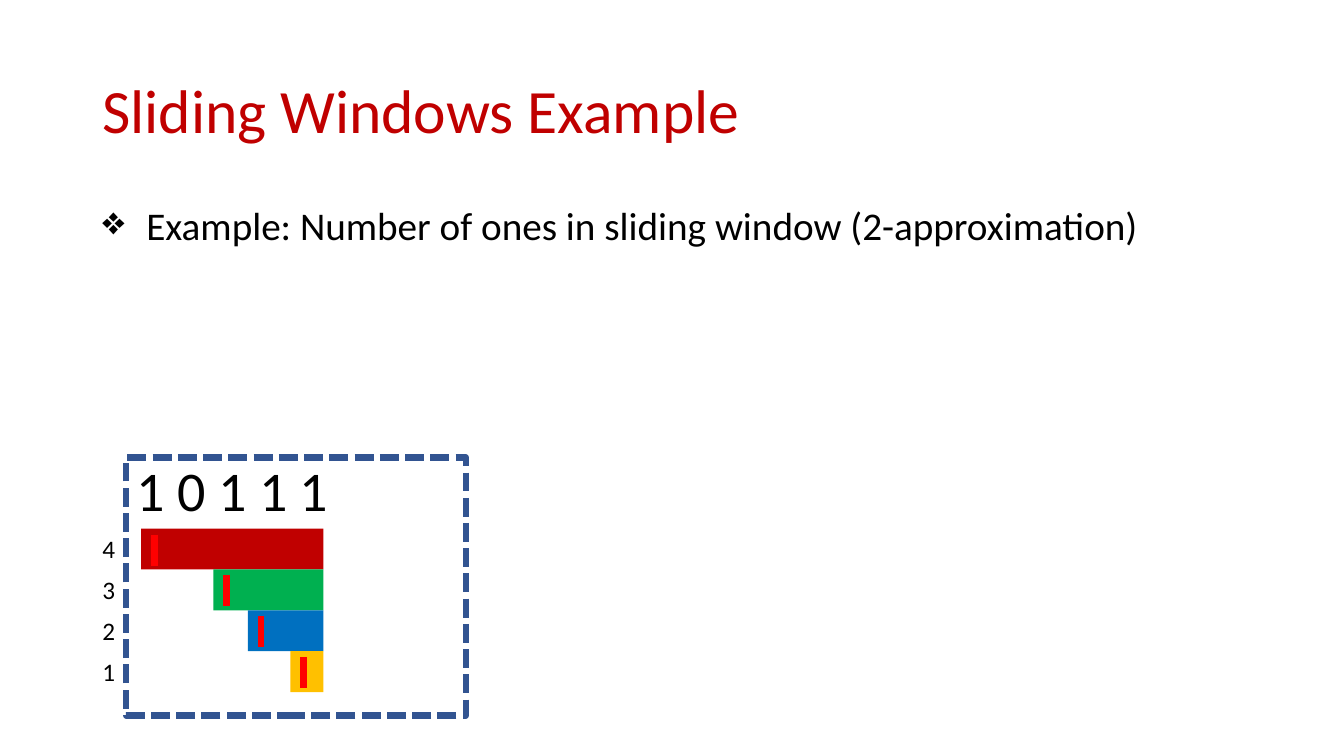
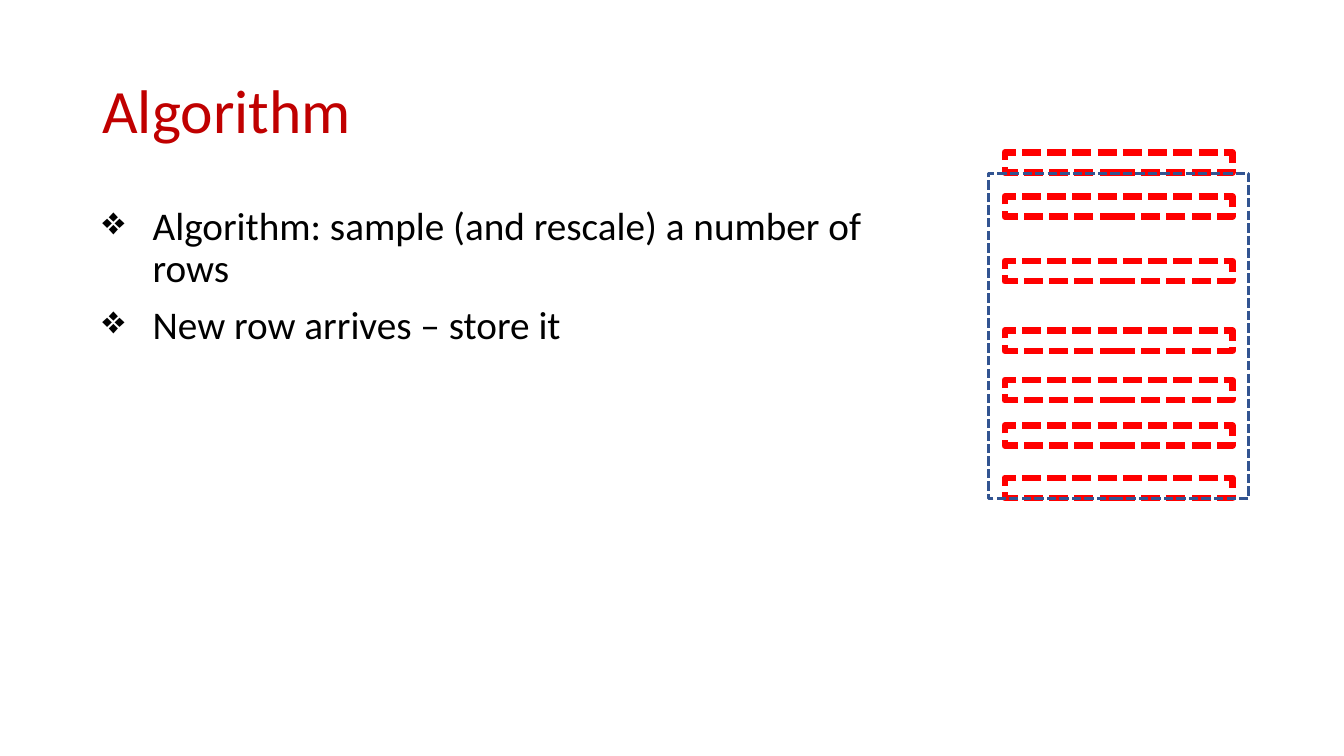
from lxml import etree
from pptx import Presentation
from pptx.dml.color import RGBColor
from pptx.enum.dml import MSO_LINE
from pptx.enum.shapes import MSO_CONNECTOR, MSO_SHAPE
from pptx.enum.text import MSO_ANCHOR, PP_ALIGN
from pptx.oxml.ns import qn
from pptx.util import Cm, Pt

RECT = MSO_SHAPE.RECTANGLE
LINE = MSO_CONNECTOR.STRAIGHT
DASH = MSO_LINE.SQUARE_DOT
TOP, MIDDLE = MSO_ANCHOR.TOP, MSO_ANCHOR.MIDDLE
LEFT = PP_ALIGN.LEFT


def color(text):
    return RGBColor.from_string(text)


class Deck:
    FONT = "Calibri"
    INK = "000000"
    HEAD = "C00000"
    RED = "FF0000"
    NAVY = "325491"
    MARGIN = 2.33

    def __init__(self):
        self.prs = Presentation()
        self.prs.slide_width, self.prs.slide_height = Cm(33.87), Cm(19.05)
        self.slide = None

    def page(self, title):
        self.slide = self.prs.slides.add_slide(self.prs.slide_layouts[6])
        box = (self.MARGIN, 1.02, 29.21, 3.68)
        frame = self.text(box, [title], 44, self.HEAD, MIDDLE)
        frame.paragraphs[0].line_spacing = 0.9

    def text(self, box, lines, size, ink=INK, anchor=TOP):
        frame = self.slide.shapes.add_textbox(*map(Cm, box)).text_frame
        frame.word_wrap = True
        frame.vertical_anchor = anchor
        frame.text = "\n".join(lines)
        for para in frame.paragraphs:
            para.alignment = LEFT
            for run in para.runs:
                run.font.name = self.FONT
                run.font.size = Pt(size)
                run.font.color.rgb = color(ink)
        return frame

    def bullets(self, width, height, indent, lines):
        box = (self.MARGIN, 5.08, width, height)
        frame = self.text(box, lines, 28)
        for i, para in enumerate(frame.paragraphs):
            para.line_spacing = 0.9
            para.space_before = Pt(10 if i else 0)
            props = para._p.get_or_add_pPr()
            props.set("marL", str(Cm(indent)))
            props.set("indent", str(-Cm(indent)))
            etree.SubElement(props, qn("a:buChar")).set("char", "❖")

    def rect(self, box):
        shape = self.slide.shapes.add_shape(RECT, *map(Cm, box))
        shape.shadow.inherit = False
        return shape

    def bar(self, box, fill):
        shape = self.rect(box)
        shape.fill.solid()
        shape.fill.fore_color.rgb = color(fill)
        shape.line.fill.background()

    def frame(self, box, ink, width):
        shape = self.rect(box)
        shape.fill.background()
        shape.line.color.rgb = color(ink)
        shape.line.width = Pt(width)
        shape.line.dash_style = DASH

    def tick(self, x, top, bottom):
        line = self.slide.shapes.add_connector(
            LINE, Cm(x), Cm(top), Cm(x), Cm(bottom))
        line.line.color.rgb = color(self.RED)
        line.line.width = Pt(4.5)
        etree.SubElement(line._element.spPr, qn("a:effectLst"))


def windows(deck):
    deck.page("Sliding Windows Example")
    deck.bullets(29.21, 7.26, 1.11, [
        "Example: Number of ones in sliding window (2-approximation)"])
    deck.text((3.18, 11.35, 6, 1.96), ["1 0 1 1 1"], 40)

    # One bar per suffix, all ending at the newest bit
    right, top, step = 8.15, 13.32, 1.03
    bars = [(3.56, "C00000"), (5.38, "00B050"),
            (6.25, "0070C0"), (7.32, "FFC000")]
    for i, (left, fill) in enumerate(bars):
        y = top + i * step
        deck.bar((left, y, right - left, step), fill)
        deck.tick(left + 0.33, y + 0.15, y + 0.93)
        deck.text((deck.MARGIN, y, 1, step), [str(len(bars) - i)], 18)

    deck.frame((3.18, 11.53, 8.56, 6.5), deck.NAVY, 4.5)


def algorithm(deck):
    deck.page("Algorithm")
    deck.bullets(21.69, 12.6, 1.27, [
        "Algorithm: sample (and rescale) a number of rows",
        "New row arrives – store it"])

    # Stored rows and the window over them
    for y in (3.84, 4.95, 6.58, 8.33, 9.58, 10.72, 12.04):
        deck.frame((25.32, y, 5.74, 0.51), deck.RED, 4.5)
    deck.frame((24.92, 4.37, 6.55, 8.2), deck.NAVY, 2.25)


def main():
    deck = Deck()
    windows(deck)
    algorithm(deck)
    deck.prs.save("out.pptx")


if __name__ == "__main__":
    main()
